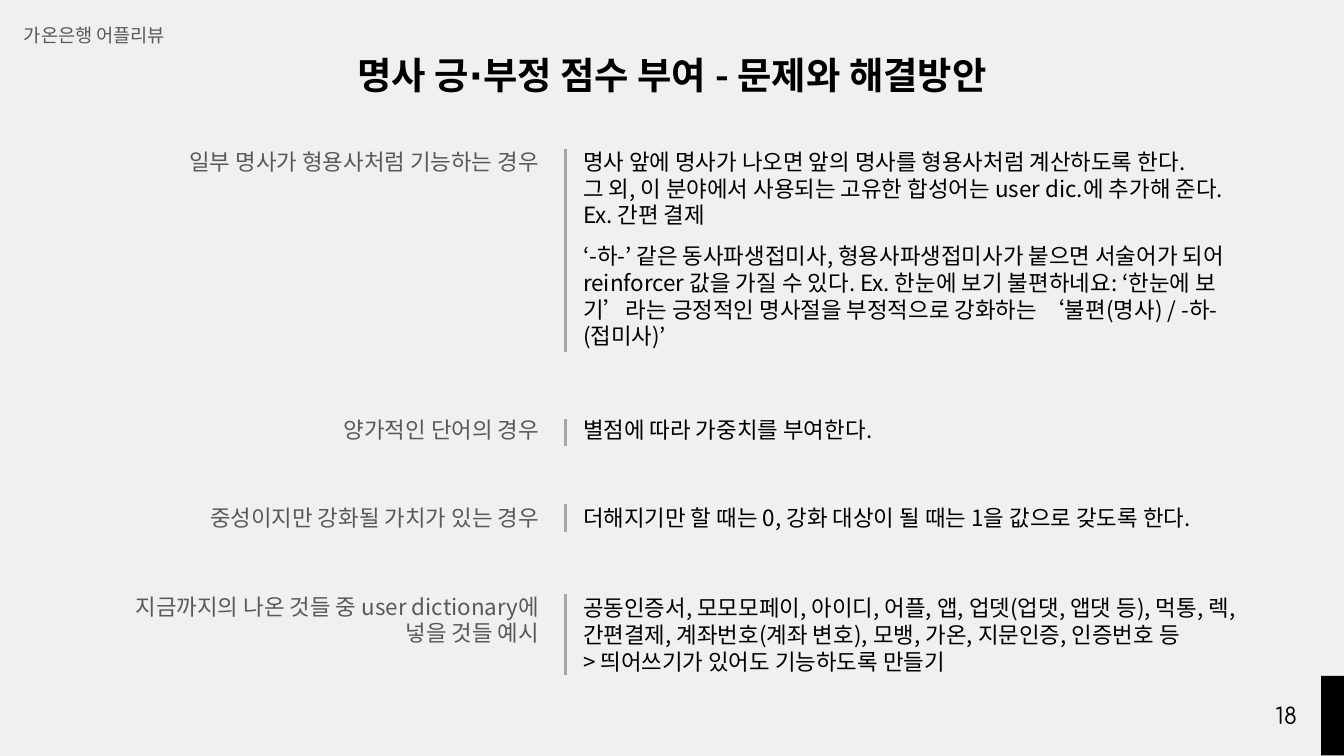
from lxml import etree
from pptx import Presentation
from pptx import util as u
from pptx.dml.color import RGBColor
from pptx.enum import shapes, text
from pptx.oxml.ns import qn

Inches, Pt = u.Inches, u.Pt
FONT = "Noto Sans CJK KR"
BLACK, GREY, RULE, PAPER = "000000", "595959", "A7A7A7", "F0F0F0"
LEFT, RIGHT, CENTER = text.PP_ALIGN.LEFT, text.PP_ALIGN.RIGHT, text.PP_ALIGN.CENTER
FIT, FIXED = text.MSO_AUTO_SIZE.SHAPE_TO_FIT_TEXT, text.MSO_AUTO_SIZE.NONE


def color(value):
    return RGBColor.from_string(value)


class Deck:
    """Holds the presentation, its text style and the current slide."""

    def __init__(self, width, height):
        self.prs = Presentation()
        self.prs.slide_width, self.prs.slide_height = width, height
        self.style = {"size": Pt(12), "name": FONT, "bold": False}

    def slide(self):
        self.s = self.prs.slides.add_slide(self.prs.slide_layouts[6])
        fill = self.s.background.fill
        fill.solid()
        fill.fore_color.rgb = color(PAPER)

    def text(self, box, lines, ink=BLACK, align=LEFT, frame=None, para=None, **style):
        tf = self.s.shapes.add_textbox(*map(Inches, box)).text_frame
        margins = {f"margin_{side}": Inches(0.1) for side in ("left", "right", "top", "bottom")}
        for key, value in {"word_wrap": True, "auto_size": FIXED,
                           **margins, **(frame or {})}.items():
            setattr(tf, key, value)
        for i, line in enumerate(lines):
            p = tf.add_paragraph() if i else tf.paragraphs[0]
            for key, value in {"alignment": align, **(para or {})}.items():
                setattr(p, key, value)
            r = p.add_run()
            r.text = line
            for key, value in {**self.style, **style}.items():
                setattr(r.font, key, value)
            r.font.color.rgb = color(ink)
            ea = etree.SubElement(r.font._element, qn("a:ea"))
            ea.set("typeface", r.font.name)

    def bar(self, box, rotation=0, ink=BLACK):
        sp = self.s.shapes.add_shape(shapes.MSO_SHAPE.RECTANGLE, *map(Inches, box))
        sp.rotation = rotation
        sp.shadow.inherit = False
        sp.fill.solid()
        sp.fill.fore_color.rgb = color(ink)
        sp.line.fill.background()

    def rule(self, x, top, bottom):
        c = self.s.shapes.add_connector(
            shapes.MSO_CONNECTOR.STRAIGHT, *map(Inches, (x, top, x, bottom)))
        c.line.color.rgb = color(RULE)
        c.line.width = Pt(1.5)
        etree.SubElement(c._element.spPr, qn("a:effectLst"))


# Each row: label top and height, label, rule ends, answers as (top, width, height, lines)
ROWS = [
    (1, 0.4, "일부 명사가 형용사처럼 기능하는 경우", (1.11, 2.62), [
        (1, 5.2, 0.81, [
            "명사 앞에 명사가 나오면 앞의 명사를 형용사처럼 계산하도록 한다.",
            "그 외, 이 분야에서 사용되는 고유한 합성어는 user dic.에 추가해 준다. Ex. 간편 결제"]),
        (1.7, 5.14, 1.01, [
            "‘-하-’ 같은 동사파생접미사, 형용사파생접미사가 붙으면 서술어가 되어 reinforcer "
            "값을 가질 수 있다. Ex. 한눈에 보기 불편하네요: ‘한눈에 보기’라는 긍정적인 "
            "명사절을 부정적으로 강화하는 ‘불편(명사) / -하-(접미사)’"])]),
    (3, 0.4, "양가적인 단어의 경우", (3.12, 3.32), [
        (3, 3.42, 0.4, ["별점에 따라 가중치를 부여한다."])]),
    (3.65, 0.4, "중성이지만 강화될 가치가 있는 경우", (3.75, 3.96), [
        (3.65, 5.24, 0.4, ["더해지기만 할 때는 0, 강화 대상이 될 때는 1을 값으로 갖도록 한다."])]),
    (4.31, 0.61, "지금까지의 나온 것들 중 user dictionary에 넣을 것들 예시", (4.42, 5.02), [
        (4.32, 5.24, 0.81, [
            "공동인증서, 모모모페이, 아이디, 어플, 앱, 업뎃(업댓, 앱댓 등), 먹통, 렉, "
            "간편결제, 계좌번호(계좌 변호), 모뱅, 가온, 지문인증, 인증번호 등",
            "> 띄어쓰기가 있어도 기능하도록 만들기"])]),
]


def main():
    deck = Deck(Inches(10), Inches(10) * 9 // 16)
    deck.slide()
    deck.bar((9.62, 5.24, 0.59, 0.17), rotation=90)
    deck.text((9.27, 5.11, 0.6, 0.43), ["18"], align=CENTER, name="Comfortaa",
              frame={"vertical_anchor": text.MSO_ANCHOR.MIDDLE})
    deck.text((2.04, 0.29, 5.92, 0.52), ["명사 긍⋅부정 점수 부여 - 문제와 해결방안"],
              align=CENTER, size=Pt(20), bold=True)
    deck.text((0.08, 0.05, 2.01, 0.35), ["가온은행 어플리뷰"], GREY, size=Pt(10),
              para={"line_spacing": 1.15, "space_after": Pt(16)})
    grow = {"auto_size": FIT}
    for top, tall, label, ends, answers in ROWS:
        deck.text((0.69, top, 3.42, tall), [label], GREY, RIGHT, grow)
        deck.rule(4.21, *ends)
        for y, width, height, lines in answers:
            deck.text((4.24, y, width, height), lines, frame=grow)
    deck.prs.save("out.pptx")


if __name__ == "__main__":
    main()
